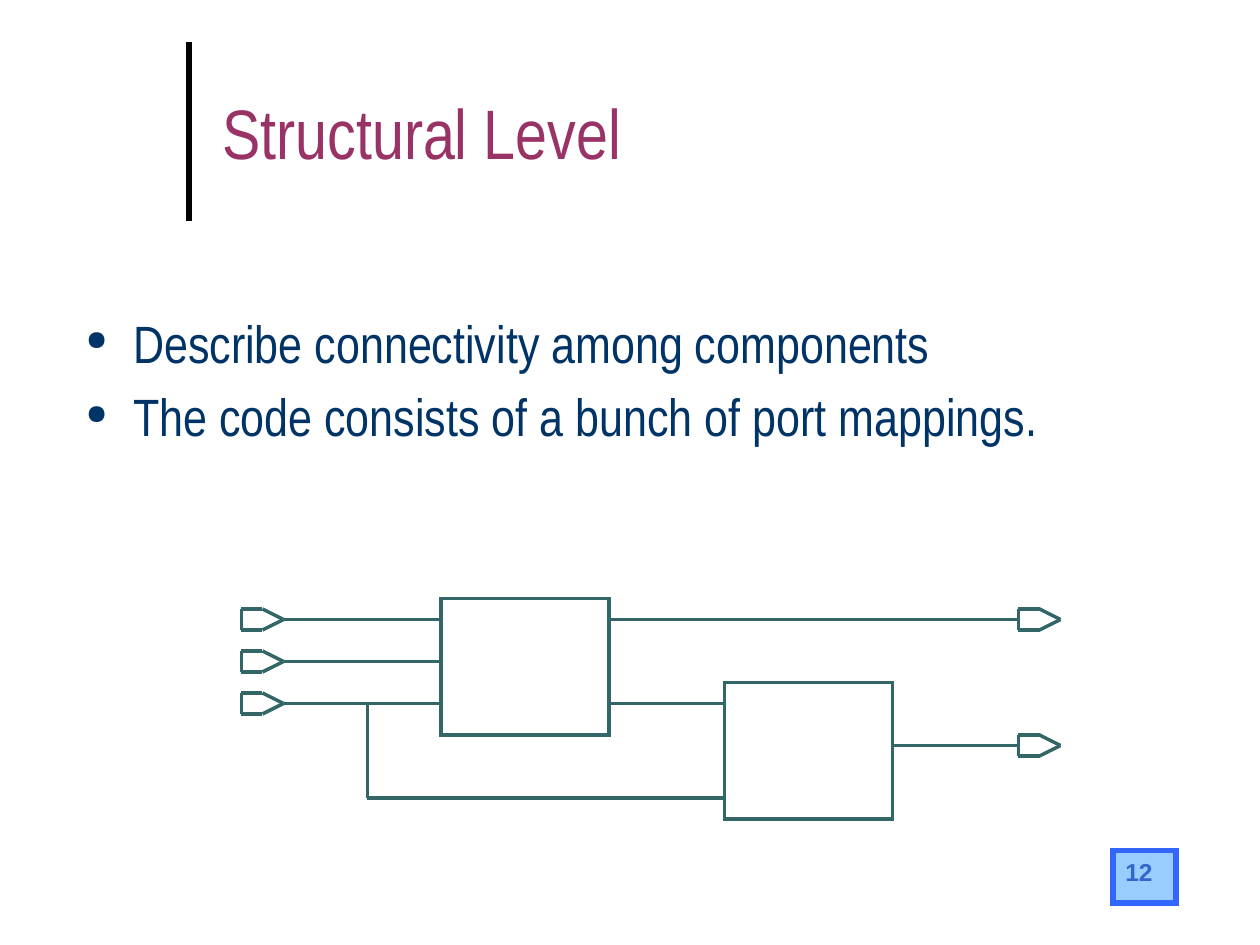
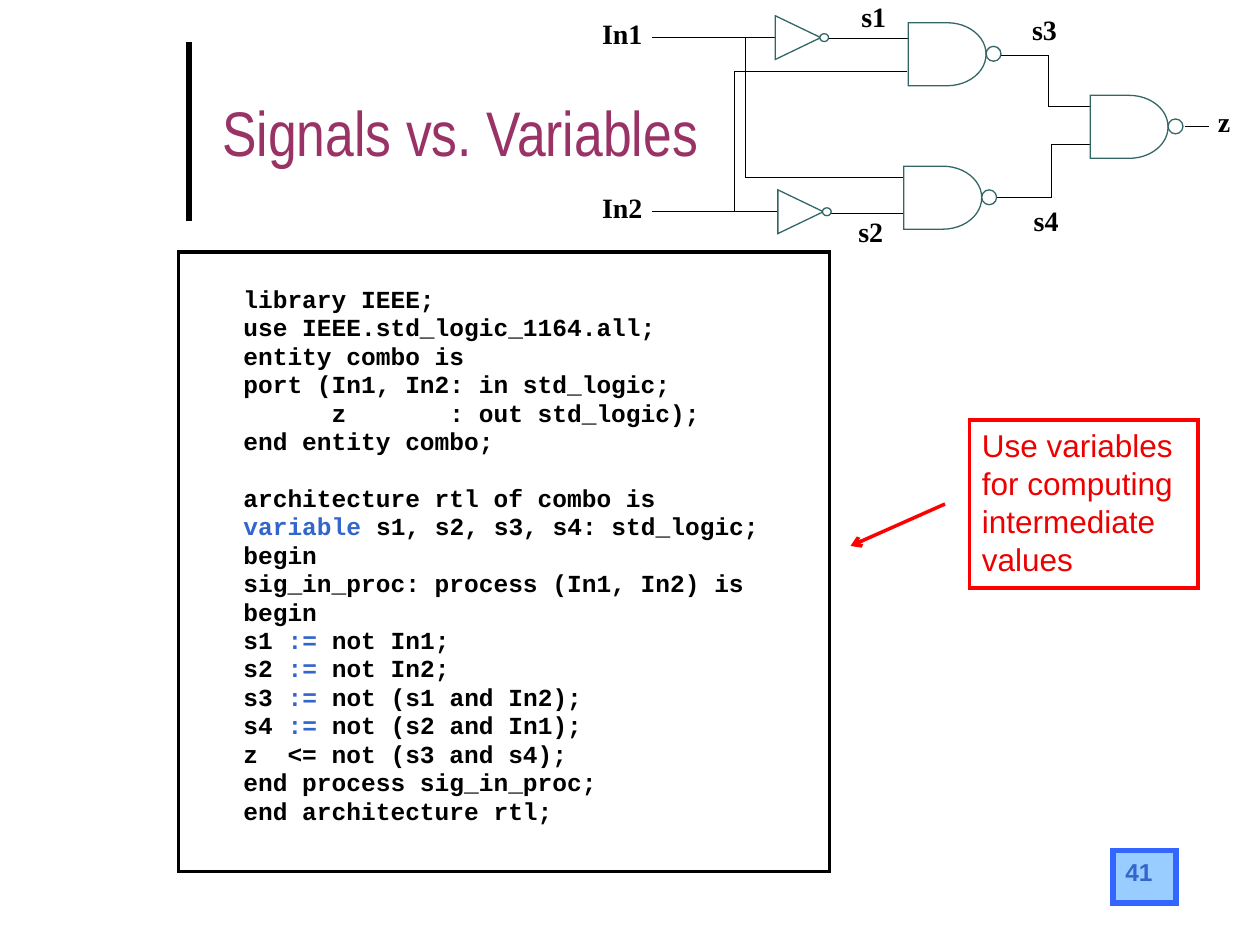
import dataclasses
import itertools

import lxml.etree
import pptx
import pptx.dml.color
import pptx.enum.shapes
import pptx.enum.text
import pptx.oxml.ns
import pptx.util

Pt = pptx.util.Pt
KIND = pptx.enum.shapes.MSO_SHAPE
ANCHOR = pptx.enum.text.MSO_ANCHOR
qn = pptx.oxml.ns.qn


@dataclasses.dataclass(frozen=True)
class Theme:
    # Colours
    ink: str = "000000"
    white: str = "FFFFFF"
    plum: str = "993366"
    navy: str = "003366"
    teal: str = "336666"
    key: str = "3366CC"
    sky: str = "99CCFF"
    edge: str = "3366FF"
    red: str = "FF0000"
    note: str = "EC0000"
    # Fonts
    head: str = "Arial Narrow"
    sans: str = "Arial"
    mono: str = "Courier New"
    serif: str = "Times New Roman"
    # Type sizes
    title: float = 40
    small: float = 36
    body: float = 30
    call: float = 18
    label: float = 16
    code: float = 14
    # Line widths
    rule: float = 3
    bold: float = 2
    gate: float = 0.75
    thin: float = 0.5


T = Theme()

POINTS = [
    "Describe connectivity among components",
    "The code consists of a bunch of port mappings.",
]

# Code in two blocks, set apart by a gap
CODE = [
    """library IEEE;
use IEEE.std_logic_1164.all;
entity combo is
port (In1, In2: in std_logic;
      z       : out std_logic);
end entity combo;""",
    """architecture rtl of combo is
variable s1, s2, s3, s4: std_logic;
begin
sig_in_proc: process (In1, In2) is
begin
s1 := not In1;
s2 := not In2;
s3 := not (s1 and In2);
s4 := not (s2 and In1);
z  <= not (s3 and s4);
end process sig_in_proc;
end architecture rtl;""",
]
KEYS = ("variable", ":=")


def rgb(tone):
    return pptx.dml.color.RGBColor.from_string(tone)


def style(run, size, tone, face, bold=False):
    font = run.font
    font.size, font.name, font.bold = Pt(size), face, bold
    font.color.rgb = rgb(tone)


def pen(item, tone, width):
    item.line.color.rgb = rgb(tone)
    item.line.width = Pt(width)


def paint(shape, tone, width, fill=None):
    shape.shadow.inherit = False
    pen(shape, tone, width)
    # Square corners
    lxml.etree.SubElement(shape.line._get_or_add_ln(), qn("a:miter"), lim="800000")
    if fill:
        shape.fill.solid()
        shape.fill.fore_color.rgb = rgb(fill)
    else:
        shape.fill.background()
    return shape


def form(slide, kind, box, tone, width, fill=None):
    shape = slide.shapes.add_shape(kind, *map(Pt, box))
    return paint(shape, tone, width, fill)


def line(slide, start, end, tone, width):
    link = slide.shapes.add_connector(
        pptx.enum.shapes.MSO_CONNECTOR.STRAIGHT, *map(Pt, start + end))
    pen(link, tone, width)
    lxml.etree.SubElement(link._element.spPr, qn("a:effectLst"))
    return link


def trace(slide, spots, tone, width):
    spots = [(Pt(x), Pt(y)) for x, y in spots]
    build = slide.shapes.build_freeform(*spots[0])
    build.add_line_segments(spots[1:], close=False)
    return paint(build.convert_to_shape(), tone, width)


def write(shape, lines, size, tone, face, bold=False, anchor=ANCHOR.TOP,
          wrap=True, pad=None):
    frame = shape.text_frame
    frame.word_wrap, frame.vertical_anchor = wrap, anchor
    if pad is not None:
        frame.margin_left = frame.margin_right = Pt(pad)
        frame.margin_top = frame.margin_bottom = Pt(pad)
    frame.text = "\n".join(lines)
    for para in frame.paragraphs:
        para.alignment = pptx.enum.text.PP_ALIGN.LEFT
        for run in para.runs:
            style(run, size, tone, face, bold)
    return frame


def label(slide, box, lines, *look, **more):
    return write(slide.shapes.add_textbox(*map(Pt, box)), lines, *look, **more)


def hang(para, gap):
    props = para._p.get_or_add_pPr()
    props.set("marL", str(Pt(27)))
    props.set("indent", str(-Pt(27)))
    para.space_before = Pt(gap)
    return props


def shift(box, spots):
    return [(box[0] + x, box[1] + y) for x, y in spots]


def base(deck, title, size, number):
    """Slide with rule, title and number."""
    slide = deck.slides.add_slide(deck.slide_layouts[6])
    line(slide, (108, 126), (108, 24), T.ink, T.rule)
    tile = form(slide, KIND.RECTANGLE, (636, 486, 36, 30), T.edge, T.rule, T.sky)
    write(tile, [number], T.code, T.key, T.sans, bold=True)
    label(slide, (120, 15, 552, 120), [title], size, T.plum, T.head,
          anchor=ANCHOR.MIDDLE)
    return slide


def points(slide, box):
    """Bulleted list."""
    frame = label(slide, box, POINTS, T.body, T.navy, T.head)
    for para in frame.paragraphs:
        props = hang(para, T.body * 0.2)
        tint = lxml.etree.SubElement(props, qn("a:buClr"))
        lxml.etree.SubElement(tint, qn("a:srgbClr"), val=T.navy)
        lxml.etree.SubElement(props, qn("a:buSzPct"), val="52000")
        lxml.etree.SubElement(props, qn("a:buChar"), char="●")


def blocks(slide, box):
    """Two blocks wired to their ports."""
    left, top = box[:2]
    for x, y in ((114, 0), (276, 48)):
        form(slide, KIND.RECTANGLE, (left + x, top + y, 96, 78), T.teal, T.bold)

    wires = [((24, y), (114, y)) for y in (12, 36, 60)]
    wires += [
        ((210, 12), (444, 12)),
        ((210, 60), (276, 60)),
        ((372, 84), (444, 84)),
        ((72, 60), (72, 114)),
        ((72, 114), (276, 114)),
    ]
    # Port flags, each with its tip on a wire
    flag = ((0, -6), (12, -6), (24, 0), (12, 6), (0, 6))
    for port in ((0, 12), (0, 36), (0, 60), (444, 12), (444, 84)):
        spots = shift(port, flag)
        wires += zip(spots, spots[1:] + spots[:1])
    for wire in wires:
        line(slide, *shift(box, wire), T.teal, T.bold)


def gates(slide, box):
    """Logic diagram with named signals."""
    left, top = box[:2]
    wires = [
        ((130, 22), (175, 22)),
        ((130, 121.75), (173, 121.75)),
        ((28.75, 21.5), (100, 21.5)),
        ((28.75, 121), (100, 121)),
        ((333, 72.5), (347, 72.5)),
    ]
    for wire in wires:
        line(slide, *shift(box, wire), T.ink, T.thin)
    bends = [
        ((173, 101.5), (82, 101.5), (82, 22)),
        ((174.5, 41), (75.75, 41), (75.75, 121)),
        ((279.5, 61), (255, 61), (255, 31.5), (228, 31.5)),
        ((279.5, 82.25), (257, 82.25), (257, 113), (226, 113)),
    ]
    for bend in bends:
        trace(slide, shift(box, bend), T.ink, T.thin)

    names = {
        "In1": (0, 9.5), "In2": (0, 109), "z": (352, 60), "s1": (148.25, 0),
        "s2": (146.5, 122.5), "s3": (245.75, 7.25), "s4": (246.75, 116.25),
    }
    for name, (x, y) in names.items():
        label(slide, (left + x, top + y, 8 * len(name), 19.5), [name], T.label,
              T.ink, T.serif, bold=True, wrap=False, pad=0)

    # Each gate is a body with an inverting bubble
    nots = KIND.FLOWCHART_EXTRACT, (25, 26), (25, 10.75, 5, 4.5), 90
    nands = KIND.FLOWCHART_DELAY, (44.5, 36), (44.5, 13.5, 8.5, 8.5), 0
    spots = [(99.5, 8.5, nots), (101, 108, nots), (175, 13, nands),
             (172.5, 95, nands), (279, 54.5, nands)]
    for x, y, (kind, size, (dx, dy, *dot), turn) in spots:
        x, y = left + x, top + y
        body = form(slide, kind, (x, y, *size), T.teal, T.gate, T.white)
        body.rotation = turn
        form(slide, KIND.OVAL, (x + dx, y + dy, *dot), T.teal, T.gate, T.white)


def code(slide, box):
    """Framed listing with marked keywords."""
    left, top, wide, high = box
    form(slide, KIND.RECTANGLE, box, T.ink, T.bold)
    rows = [part.split("\n") for part in CODE]
    frame = label(slide, (left + 30, top + 18, wide - 30, high - 30),
                  itertools.chain(*rows), T.code, T.ink, T.mono, bold=True)
    for spot, para in enumerate(frame.paragraphs):
        hang(para, 19 if spot == len(rows[0]) else T.code * 0.2)
        para.line_spacing = 0.8
        for key in KEYS:
            if key in para.text:
                parts = para.text.partition(key)
                para.text = ""
                for part in filter(None, parts):
                    run = para.add_run()
                    run.text = part
                    tone = T.key if part == key else T.ink
                    style(run, T.code, tone, T.mono, True)


def note(slide, box):
    """Boxed remark with an arrow to the listing."""
    left, top = box[:2]
    arrow = line(slide, (left - 68, top + 72), (left - 14, top + 48), T.red, T.bold)
    lxml.etree.SubElement(arrow.line._get_or_add_ln(), qn("a:headEnd"), type="arrow")
    tile = form(slide, KIND.RECTANGLE, box, T.red, T.bold)
    write(tile, ["Use variables\vfor computing", "intermediate\vvalues"],
          T.call, T.note, T.sans)


def main():
    deck = pptx.Presentation()
    deck.slide_width, deck.slide_height = Pt(720), Pt(540)

    slide = base(deck, "Structural Level", T.title, "12")
    points(slide, (42, 174, 630, 324))
    blocks(slide, (138, 342, 468, 126))

    slide = base(deck, "Signals vs. Variables", T.small, "41")
    code(slide, (102, 144, 372, 354))
    note(slide, (554, 240, 130.5, 96))
    gates(slide, (344, 0, 360, 142))

    deck.save("out.pptx")


if __name__ == "__main__":
    main()
